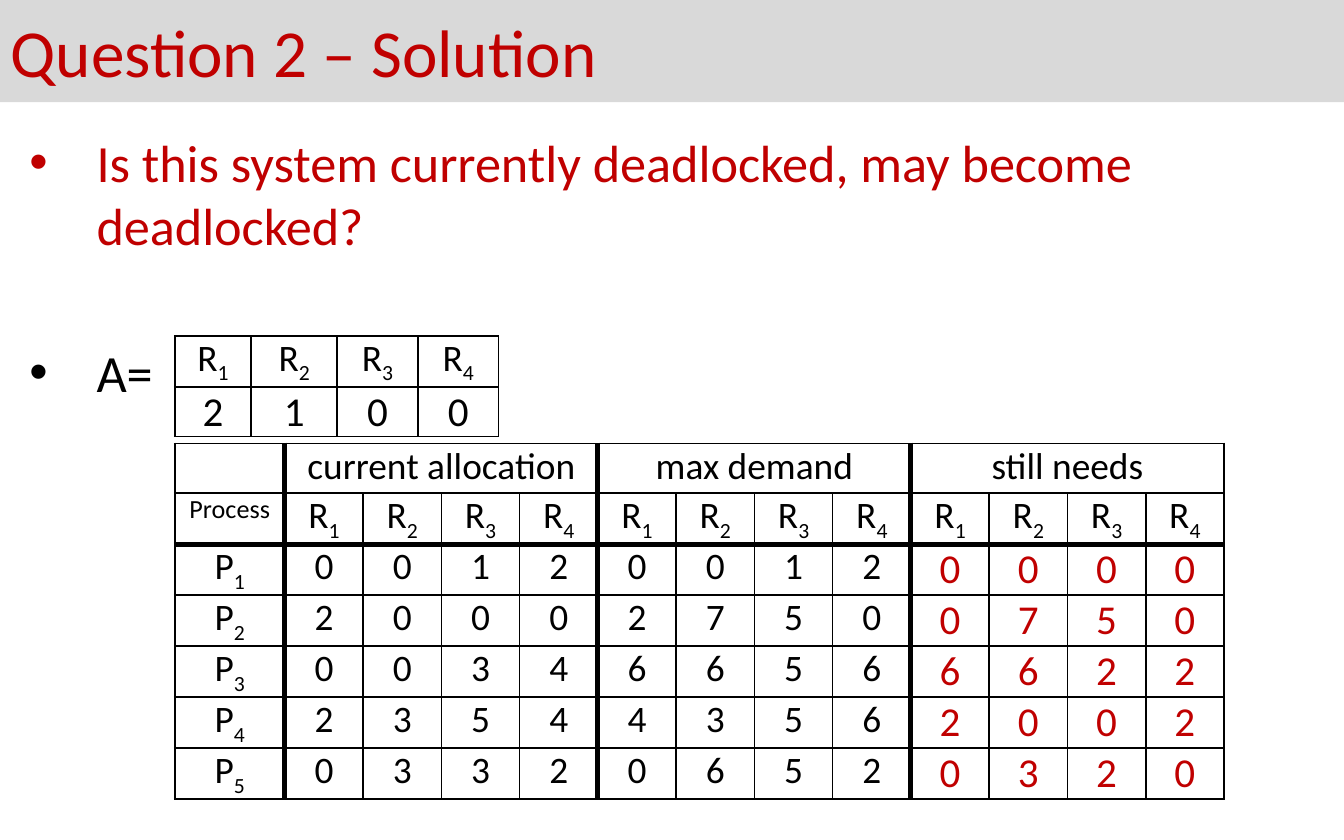
from lxml.etree import SubElement
from pptx import Presentation
from pptx.dml.color import RGBColor
from pptx.enum.text import MSO_ANCHOR as Anchor, MSO_AUTO_SIZE as AutoSize, PP_ALIGN as Align
from pptx.oxml.ns import qn
from pptx.util import Inches, Pt

RED = RGBColor(0xC0, 0x00, 0x00)
BLACK = RGBColor(0x00, 0x00, 0x00)
GRAY = RGBColor(0xD9, 0xD9, 0xD9)

RESOURCES = [("R", str(i)) for i in range(1, 5)]
AVAILABLE = [2, 1, 0, 0]
ALLOCATION = [[0, 0, 1, 2], [2, 0, 0, 0], [0, 0, 3, 4], [2, 3, 5, 4], [0, 3, 3, 2]]
DEMAND = [[0, 0, 1, 2], [2, 7, 5, 0], [6, 6, 5, 6], [4, 3, 5, 6], [0, 6, 5, 2]]
GROUPS = ["current allocation", "max demand", "still needs"]


def write(p, text, size=20, color=BLACK, align=Align.CENTER, sub=""):
    p.alignment = align
    for part, baseline in ((text, 0), (sub, -25000)):
        if part:
            r = p.add_run()
            r.text = part
            r.font.name, r.font.size = "Calibri", Pt(size)
            r.font.color.rgb = color
            if baseline:
                r._r.get_or_add_rPr().set("baseline", str(baseline))


def add_bullet(p):
    pPr = p._p.get_or_add_pPr()
    pPr.set("marL", str(Inches(0.5)))
    pPr.set("indent", str(-Inches(0.5)))
    SubElement(pPr, qn("a:buFont"), typeface="Arial")
    SubElement(pPr, qn("a:buChar"), char="•")


def set_borders(cell, widths):
    tcPr = cell._tc.get_or_add_tcPr()
    for side, width in zip("LRTB", widths):
        ln = SubElement(tcPr, qn(f"a:ln{side}"), w=str(Pt(width)))
        fill = SubElement(ln, qn("a:solidFill"))
        SubElement(fill, qn("a:srgbClr"), val=str(BLACK))


def add_grid(slide, left, top, cols, rows, heavy_cols=(), heavy_rows=(), spans=()):
    frame = slide.shapes.add_table(len(rows), len(cols), Inches(left), Inches(top),
                                   Inches(sum(cols)), Inches(sum(rows)))
    table = frame.table
    table.first_row = table.horz_banding = False
    for column, width in zip(table.columns, cols):
        column.width = Inches(width)
    for row, height in zip(table.rows, rows):
        row.height = Inches(height)
    for first, last in spans:
        table.cell(0, first).merge(table.cell(0, last))
    for i in range(len(rows)):
        for j in range(len(cols)):
            cell = table.cell(i, j)
            right = j + (cell.span_width if cell.is_merge_origin else 1)
            set_borders(cell, [3 if j in heavy_cols else 1, 3 if right in heavy_cols else 1,
                               3 if i in heavy_rows else 1, 3 if i + 1 in heavy_rows else 1])
            cell.fill.background()
            cell.margin_left = cell.margin_right = Inches(0.07)
            cell.margin_top = cell.margin_bottom = 0
    return table


def fill_cell(cell, text, **fmt):
    write(cell.text_frame.paragraphs[0], str(text), **fmt)


def add_title(slide, left, top, width, height):
    sp = slide.shapes.title
    sp.left, sp.top, sp.width, sp.height = map(Inches, (left, top, width, height))
    sp.fill.solid()
    sp.fill.fore_color.rgb = GRAY
    tf = sp.text_frame
    tf.auto_size = AutoSize.NONE
    tf.vertical_anchor = Anchor.MIDDLE
    write(tf.paragraphs[0], "Question 2 – Solution", size=36, color=RED, align=Align.JUSTIFY)


def add_question(slide, left, top, width, height):
    tf = slide.shapes.add_textbox(*map(Inches, (left, top, width, height))).text_frame
    tf.word_wrap = True
    question, available = tf.paragraphs[0], tf.add_paragraph()
    write(question, "Is this system currently deadlocked, may become deadlocked?",
          size=28, color=RED, align=Align.LEFT)
    write(available, "A=", size=28, align=Align.LEFT)
    available.space_before = Pt(45)
    for p in (question, available):
        add_bullet(p)


def add_available(slide, left, top):
    table = add_grid(slide, left, top, [0.57, 0.64, 0.6, 0.6], [0.33, 0.36])
    for j, ((name, sub), count) in enumerate(zip(RESOURCES, AVAILABLE)):
        fill_cell(table.cell(0, j), name, sub=sub)
        fill_cell(table.cell(1, j), count, size=22)


def add_processes(slide, left, top):
    n = len(RESOURCES)
    starts = [1 + n * g for g in range(len(GROUPS))]
    table = add_grid(slide, left, top, [0.82] + [0.5825] * n * len(GROUPS),
                     [0.37] * (2 + len(ALLOCATION)), heavy_cols=starts, heavy_rows=[2],
                     spans=[(start, start + n - 1) for start in starts])
    fill_cell(table.cell(1, 0), "Process", size=14)
    for start, group in zip(starts, GROUPS):
        fill_cell(table.cell(0, start), group)
        for j, (name, sub) in enumerate(RESOURCES, start):
            fill_cell(table.cell(1, j), name, sub=sub)
    for i, (held, wanted) in enumerate(zip(ALLOCATION, DEMAND), 1):
        fill_cell(table.cell(i + 1, 0), "P", sub=str(i))
        for j, count in enumerate(held + wanted, 1):
            fill_cell(table.cell(i + 1, j), count)
        for j, (has, needs) in enumerate(zip(held, wanted), starts[-1]):
            cell = table.cell(i + 1, j)
            cell.vertical_anchor = Anchor.MIDDLE
            fill_cell(cell, needs - has, size=22, color=RED)


def main():
    prs = Presentation()
    prs.slide_width, prs.slide_height = Inches(10), Inches(6.25)
    slide = prs.slides.add_slide(prs.slide_layouts[5])
    add_title(slide, -0.02, 0, 10.02, 0.76)
    add_question(slide, 0.12, 0.92, 9.76, 5.2)
    add_processes(slide, 1.3, 3.3)
    add_available(slide, 1.3, 2.5)
    prs.save("out.pptx")


if __name__ == "__main__":
    main()
